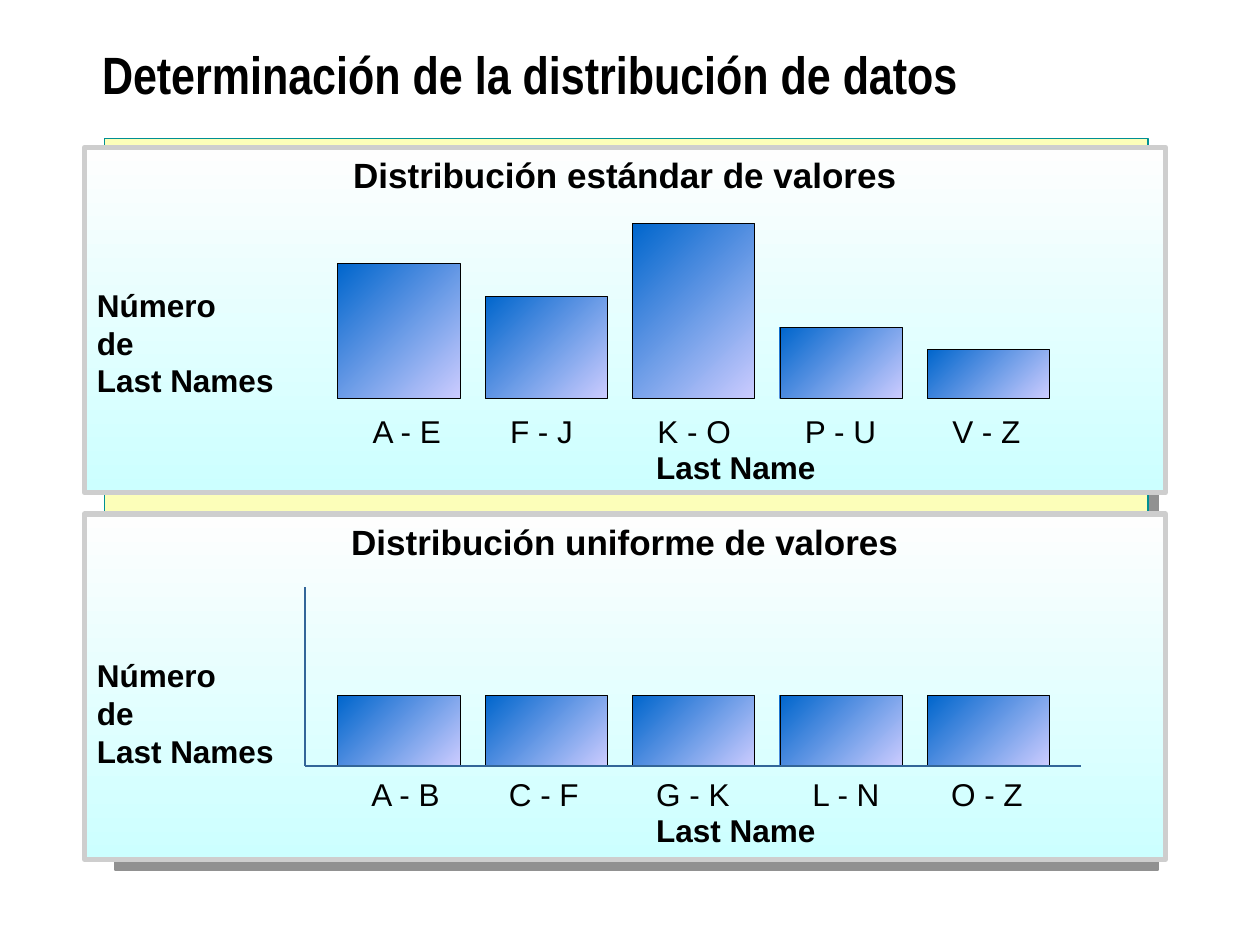
import pptx
import pptx.dml.color
import pptx.enum.shapes
import pptx.enum.text
import pptx.oxml
import pptx.oxml.ns
import pptx.util
from pptx.util import Inches

ALIGN = pptx.enum.text.PP_ALIGN
ANCHOR = pptx.enum.text.MSO_ANCHOR

FIRST_BAR, BAR_PITCH, BAR_WIDTH = 2.68, 1.17, 0.97
PANEL_LEFT, PANEL_WIDTH, PANEL_HEIGHT = 0.67, 8.58, 2.74


def color(value):
    return pptx.dml.color.RGBColor.from_string(value)


class SlideBuilder:
    font = "Arial"
    ink = "000000"

    def __init__(self, page):
        self.page = page

    def set_text(self, frame, text, size, bold=False, align=ALIGN.LEFT,
                 anchor=ANCHOR.TOP, font=None):
        frame.word_wrap = True
        frame.auto_size = pptx.enum.text.MSO_AUTO_SIZE.NONE
        frame.vertical_anchor = anchor
        frame.text = text
        para = frame.paragraphs[0]
        para.alignment = align
        para.font.name = font or self.font
        para.font.size = pptx.util.Pt(size)
        para.font.bold = bold
        para.font.color.rgb = color(self.ink)
        return para

    def title(self, text, left, top, width, height):
        box = self.page.shapes.title
        box.left, box.top = Inches(left), Inches(top)
        box.width, box.height = Inches(width), Inches(height)
        para = self.set_text(box.text_frame, text, 30, True,
                             anchor=ANCHOR.MIDDLE, font="Arial Narrow")
        para.line_spacing = 0.8

    def text(self, text, left, top, width, height=0.4, bold=False):
        box = self.page.shapes.add_textbox(
            Inches(left), Inches(top), Inches(width), Inches(height))
        self.set_text(box.text_frame, text, 18, bold)

    def rectangle(self, left, top, width, height, line, line_width):
        box = self.page.shapes.add_shape(
            pptx.enum.shapes.MSO_SHAPE.RECTANGLE,
            Inches(left), Inches(top), Inches(width), Inches(height))
        box.shadow.inherit = False
        box.line.color.rgb = color(line)
        box.line.width = pptx.util.Pt(line_width)
        return box

    def gradient(self, box, start, end, angle):
        box.fill.gradient()
        box.fill.gradient_angle = angle
        for stop, value in zip(box.fill.gradient_stops, (start, end)):
            stop.color.rgb = color(value)

    def backing(self, left, top, width, height):
        box = self.rectangle(left, top, width, height, "009094", 1)
        box.fill.solid()
        box.fill.fore_color.rgb = color("FCFEB9")
        effects = box._element.spPr.find(pptx.oxml.ns.qn("a:effectLst"))
        effects.append(pptx.oxml.parse_xml(
            f'<a:outerShdw {pptx.oxml.ns.nsdecls("a")} dist="{pptx.util.Pt(8.5)}" '
            'dir="2700000" algn="ctr" rotWithShape="0">'
            '<a:srgbClr val="919191"/></a:outerShdw>'))

    def panel(self, heading, top):
        box = self.rectangle(PANEL_LEFT, top, PANEL_WIDTH, PANEL_HEIGHT, "CECECE", 3)
        self.gradient(box, "FEFEFE", "CCFFFF", 270)
        self.set_text(box.text_frame, heading, 20, True, ALIGN.CENTER)

    def bar(self, left, base, height):
        box = self.rectangle(left, base - height, BAR_WIDTH, height, self.ink, 0.25)
        self.gradient(box, "CCCCFF", "0066CC", 135)

    def line(self, x1, y1, x2, y2):
        line = self.page.shapes.add_connector(
            pptx.enum.shapes.MSO_CONNECTOR.STRAIGHT,
            Inches(x1), Inches(y1), Inches(x2), Inches(y2))
        line.line.color.rgb = color("336699")
        line.line.width = pptx.util.Pt(1.5)
        line._element.spPr.append(
            pptx.oxml.parse_xml(f'<a:effectLst {pptx.oxml.ns.nsdecls("a")}/>'))

    def histogram(self, heading, top, base, label_top, side_top, bars):
        self.panel(heading, top)
        for index, (label, height, indent) in enumerate(bars):
            left = FIRST_BAR + index * BAR_PITCH
            self.bar(left, base, height)
            self.text(label, left + indent, label_top, 0.8)
        self.text("Last Name", 5.11, label_top + 0.29, 1.5, bold=True)
        self.text("Número\vde\vLast Names", PANEL_LEFT, side_top, 1.65, 1, bold=True)


def main():
    deck = pptx.Presentation()
    deck.slide_width, deck.slide_height = Inches(10), Inches(7.5)
    slide = SlideBuilder(deck.slides.add_slide(deck.slide_layouts[5]))

    # Title and backing
    slide.title("Determinación de la distribución de datos", 0.71, 0.17, 8.96, 0.92)
    slide.backing(0.83, 1.1, 8.28, 5.72)

    # Each bar: label, height, label indent
    slide.histogram(
        "Distribución estándar de valores", 1.17, 3.16, 3.22, 2.22,
        [("A - E", 1.07, 0.18), ("F - J", 0.81, 0.1), ("K - O", 1.39, 0.1),
         ("P - U", 0.56, 0.1), ("V - Z", 0.39, 0.1)])
    slide.histogram(
        "Distribución uniforme de valores", 4.08, 6.08, 6.1, 5.16,
        [("A - B", 0.56, 0.17), ("C - F", 0.56, 0.09), ("G - K", 0.56, 0.09),
         ("L - N", 0.56, 0.16), ("O - Z", 0.56, 0.09)])

    # Axes of the lower histogram
    slide.line(2.42, 4.66, 2.42, 6.08)
    slide.line(2.42, 6.08, 8.58, 6.08)

    deck.save("out.pptx")


if __name__ == "__main__":
    main()
